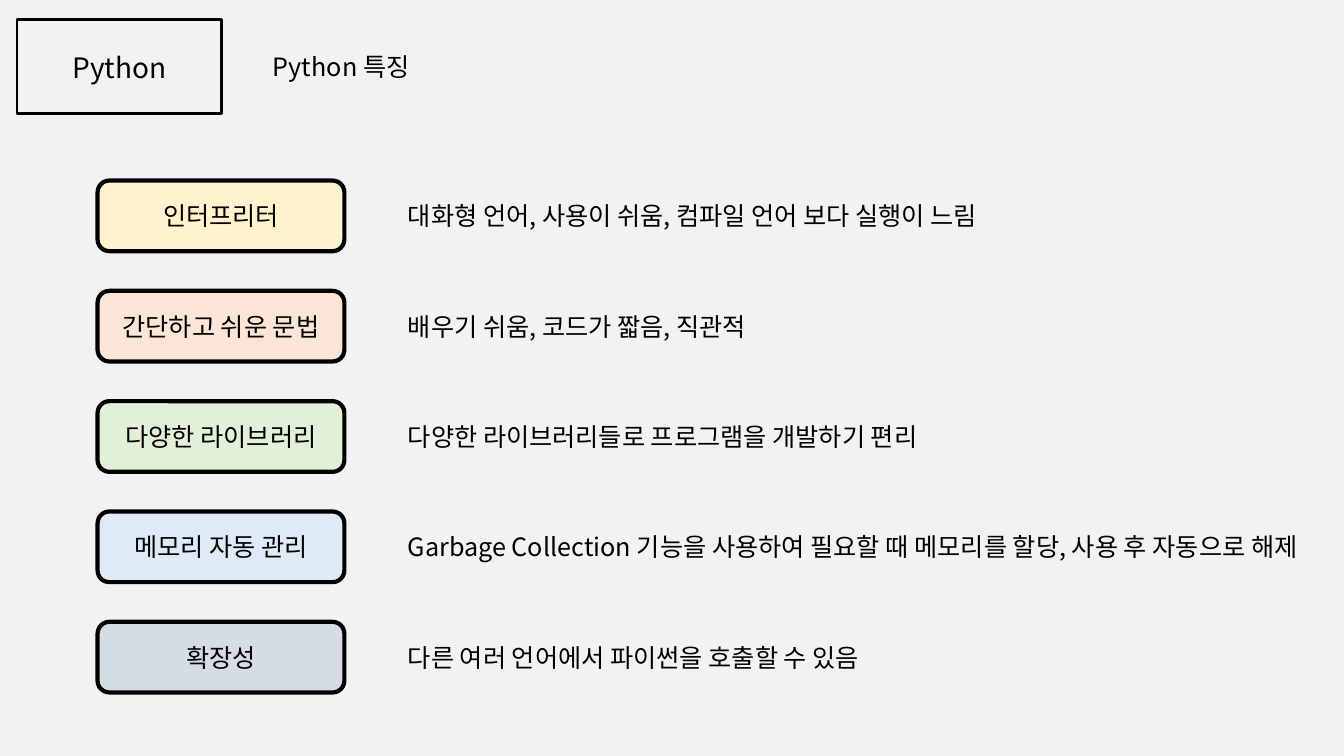
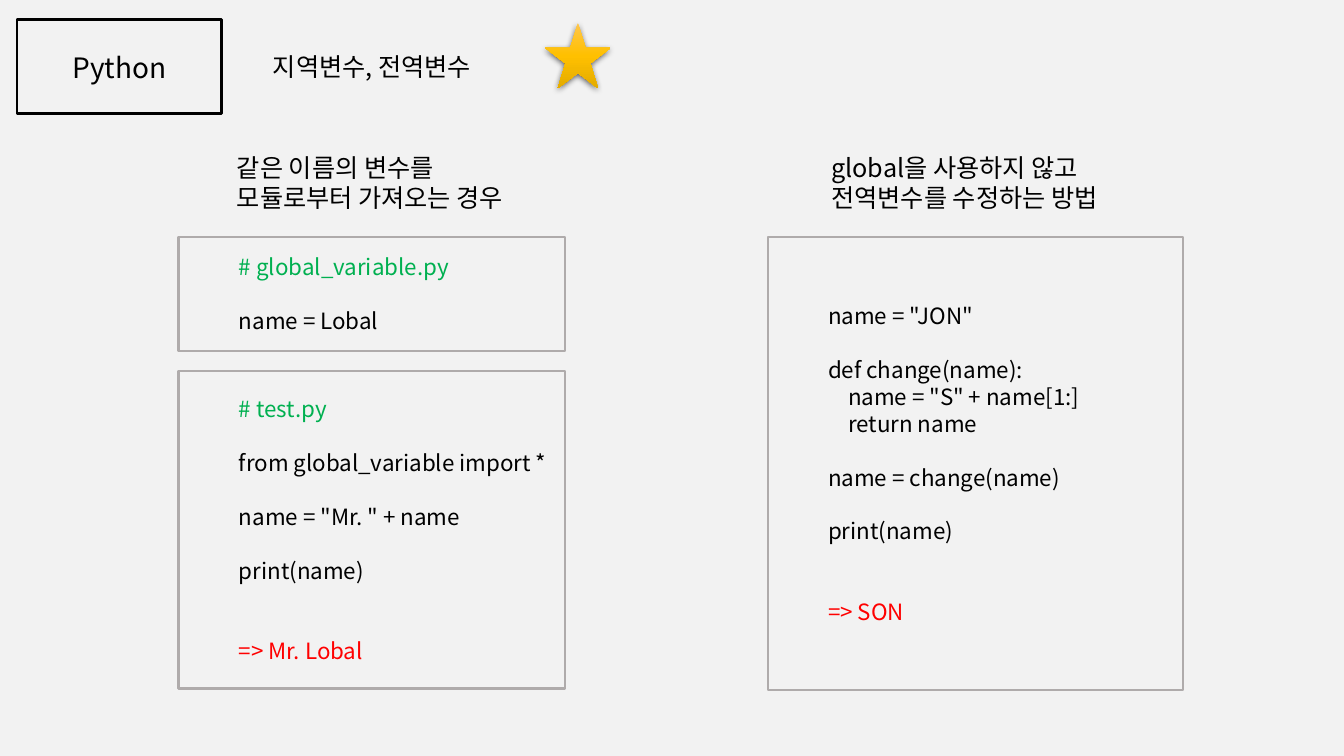
from lxml import etree
from copy import deepcopy
from pptx import Presentation
from pptx import util as u
from pptx.dml.color import RGBColor
from pptx.enum import shapes, text
from pptx.oxml.ns import qn

FONT = "Noto Sans CJK KR"
BLACK = RGBColor(0x00, 0x00, 0x00)
PAPER = RGBColor(0xF2, 0xF2, 0xF2)
GREY = RGBColor(0xAF, 0xAB, 0xAB)
GREEN = RGBColor(0x00, 0xB0, 0x50)
RED = RGBColor(0xFF, 0x00, 0x00)
YELLOW = RGBColor(0xFF, 0xF2, 0xCC)
PEACH = RGBColor(0xFB, 0xE5, 0xD6)
MINT = RGBColor(0xE2, 0xF0, 0xD9)
SKY = RGBColor(0xDE, 0xEB, 0xF7)
SLATE = RGBColor(0xD6, 0xDC, 0xE5)
GOLD_LIGHT = RGBColor(0xFF, 0xC6, 0x4B)
GOLD = RGBColor(0xFF, 0xC0, 0x00)
GOLD_DARK = RGBColor(0xE3, 0xAB, 0x00)
CODE_LINE = 19.2


def add_box(s, kind, at, line, width, fill=None):
    sp = s.shapes.add_shape(kind, *[u.Cm(v) for v in at])
    sp.shadow.inherit = False
    if fill is None:
        sp.fill.background()
    else:
        sp.fill.solid()
        sp.fill.fore_color.rgb = fill
    sp.line.color.rgb = line
    sp.line.width = u.Pt(width)
    sp.text_frame.vertical_anchor = text.MSO_ANCHOR.MIDDLE
    return sp


def write(sp, lines, size, align=text.PP_ALIGN.LEFT, indent=0):
    tf = sp.text_frame
    tf.word_wrap = True
    for i, (blanks, words, color) in enumerate(lines):
        p = tf.paragraphs[0] if i == 0 else tf.add_paragraph()
        p.alignment = align
        if indent:
            p._p.get_or_add_pPr().set("marL", str(u.Cm(indent)))
        if blanks:
            p.space_before = u.Pt(blanks * CODE_LINE)
        r = p.add_run()
        r.text = words
        r.font.size = u.Pt(size)
        r.font.color.rgb = color
        r.font.name = FONT
        ea = etree.Element(qn("a:ea"), typeface=FONT)
        r.font._element.find(qn("a:latin")).addnext(ea)


prs = Presentation()
prs.slide_width = u.Cm(33.87)
prs.slide_height = u.Cm(19.05)
bg = prs.slide_master.background.fill
bg.solid()
bg.fore_color.rgb = PAPER

slides = []
for title in ("Python 특징", "지역변수, 전역변수"):
    s = prs.slides.add_slide(prs.slide_layouts[6])
    sp = add_box(s, shapes.MSO_SHAPE.RECTANGLE, (0.43, 0.5, 5.16, 2.37), BLACK, 2)
    write(sp, [(0, "Python", BLACK)], 20, text.PP_ALIGN.CENTER)
    sp = s.shapes.add_textbox(u.Cm(6.63), u.Cm(1.16), u.Cm(9.25), u.Cm(1.02))
    write(sp, [(0, title, BLACK)], 18)
    slides.append(s)
features, variables = slides

rows = [
    ("인터프리터", YELLOW, 15.29, "대화형 언어, 사용이 쉬움, 컴파일 언어 보다 실행이 느림"),
    ("간단하고 쉬운 문법", PEACH, 9.27, "배우기 쉬움, 코드가 짧음, 직관적"),
    ("다양한 라이브러리", MINT, 14, "다양한 라이브러리들로 프로그램을 개발하기 편리"),
    ("메모리 자동 관리", SKY, 23.04,
     "Garbage Collection 기능을 사용하여 필요할 때 메모리를 할당, 사용 후 자동으로 해제"),
    ("확장성", SLATE, 12.6, "다른 여러 언어에서 파이썬을 호출할 수 있음"),
]
for i, (label, fill, width, detail) in enumerate(rows):
    top = 4.55 + i * 2.78
    sp = add_box(features, shapes.MSO_SHAPE.ROUNDED_RECTANGLE,
                 (2.46, top, 6.22, 1.78), BLACK, 3, fill)
    write(sp, [(0, label, BLACK)], 18, text.PP_ALIGN.CENTER)
    sp = features.shapes.add_textbox(u.Cm(10.03), u.Cm(top + 0.38), u.Cm(width), u.Cm(1.02))
    write(sp, [(0, detail, BLACK)], 18)

headings = [
    (5.72, ("같은 이름의 변수를", "모듈로부터 가져오는 경우")),
    (20.7, ("global을 사용하지 않고", "전역변수를 수정하는 방법")),
]
for left, lines in headings:
    sp = variables.shapes.add_textbox(u.Cm(left), u.Cm(3.71), u.Cm(7.8), u.Cm(1.8))
    write(sp, [(0, words, BLACK) for words in lines], 18)

listings = [
    ((4.5, 5.97, 9.73, 2.87), [
        (0, "# global_variable.py", GREEN),
        (1, "name = Lobal", BLACK),
    ]),
    ((4.5, 9.35, 9.73, 8), [
        (0, "# test.py", GREEN),
        (1, "from global_variable import *", BLACK),
        (1, 'name = "Mr. " + name', BLACK),
        (1, "print(name)", BLACK),
        (2, "=> Mr. Lobal", RED),
    ]),
    ((19.35, 5.97, 10.47, 11.43), [
        (0, 'name = "JON"', BLACK),
        (1, "def change(name):", BLACK),
        (0, '    name = "S" + name[1:]', BLACK),
        (0, "    return name", BLACK),
        (1, "name = change(name)", BLACK),
        (1, "print(name)", BLACK),
        (2, "=> SON", RED),
    ]),
]
for at, lines in listings:
    sp = add_box(variables, shapes.MSO_SHAPE.RECTANGLE, at, GREY, 1.5)
    write(sp, lines, 16, indent=1.27)

star = variables.shapes.add_shape(shapes.MSO_SHAPE.STAR_5_POINT,
                                  u.Cm(13.74), u.Cm(0.58), u.Cm(1.65), u.Cm(1.65))
star.fill.gradient()
star.fill.gradient_angle = 270
first = star._element.spPr.find(".//" + qn("a:gs"))
first.addnext(deepcopy(first))
golds = (GOLD_LIGHT, GOLD, GOLD_DARK)
for stop, color, position in zip(star.fill.gradient_stops, golds, (0, 0.5, 1)):
    stop.color.rgb = color
    stop.position = position
star.line.fill.background()
star.shadow.inherit = False
effects = star._element.spPr.find(qn("a:effectLst"))
shadow = etree.SubElement(effects, qn("a:outerShdw"), blurRad=str(u.Pt(4.5)),
                          dist=str(u.Pt(1.5)), dir="5400000", algn="ctr", rotWithShape="0")
tint = etree.SubElement(shadow, qn("a:srgbClr"), val=str(BLACK))
etree.SubElement(tint, qn("a:alpha"), val="63000")

prs.save("out.pptx")
